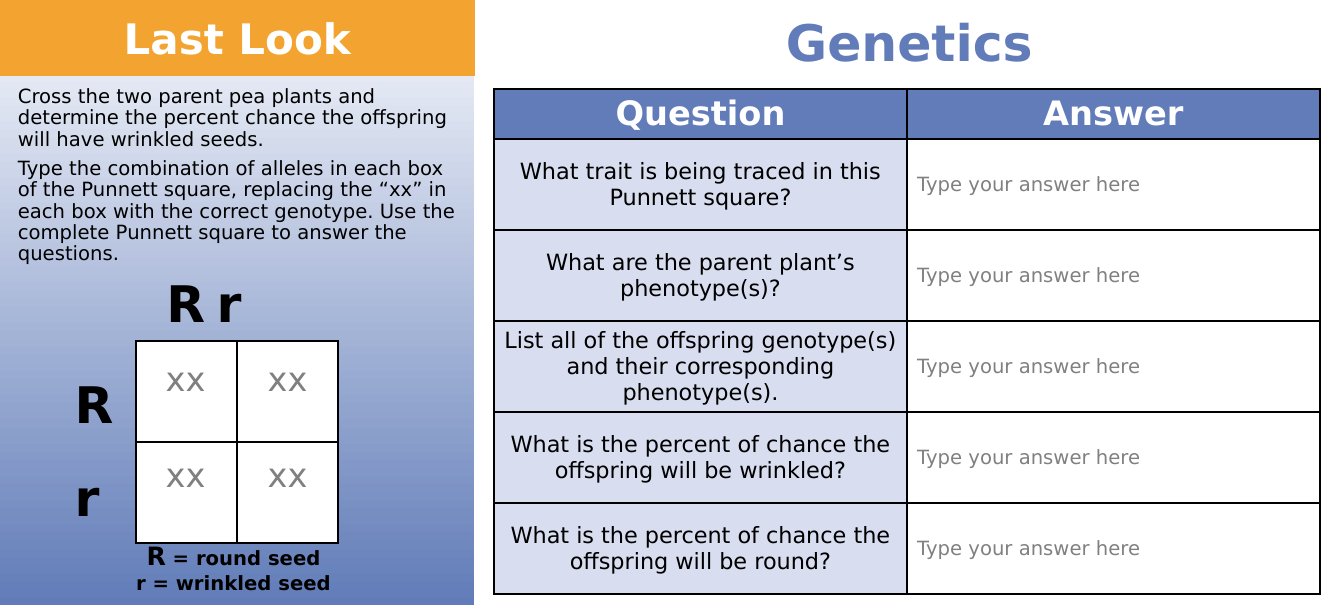
from dataclasses import dataclass
from lxml.etree import SubElement
from pptx import Presentation
from pptx.dml.color import RGBColor
from pptx.enum.shapes import MSO_SHAPE
from pptx.enum.text import MSO_ANCHOR, MSO_AUTO_SIZE, PP_ALIGN
from pptx.oxml import parse_xml
from pptx.oxml.ns import nsdecls, qn
from pptx.util import Cm, Pt


@dataclass(frozen=True)
class Theme:
    """Colours, type sizes and font of the slide."""
    face: str = "DejaVu Sans"
    blue: str = "617CB8"
    pale: str = "BFC9E5"
    mist: str = "F6F8FC"
    gold: str = "F3A32F"
    white: str = "FFFFFF"
    black: str = "000000"
    grey: str = "808080"
    title: int = 36
    banner: int = 30
    head: int = 24
    key: int = 18
    ask: int = 16
    body: int = 14


THEME = Theme()
BANNER, TITLE = "Last Look", "Genetics"
GUIDE = [
    "Cross the two parent pea plants and determine the percent chance the offspring will have wrinkled seeds.",
    "Type the combination of alleles in each box of the Punnett square, replacing the “xx” in each box "
    "with the correct genotype. Use the complete Punnett square to answer the questions.",
]
ALLELES = ["R", "r"]
KEY = [[("R", THEME.key), (" = round seed", THEME.body)], [("r = wrinkled seed", THEME.body)]]
HEADS = ["Question", "Answer"]
ASKS = [
    "What trait is being traced in this Punnett square?",
    "What are the parent plant’s phenotype(s)?",
    "List all of the offspring genotype(s) and their corresponding phenotype(s).",
    "What is the percent of chance the offspring will be wrinkled?",
    "What is the percent of chance the offspring will be round?",
]
PROMPT, GENE = "Type your answer here", "xx"
WIDE, HIGH, SIDE, BAND = 33.86, 15.24, 11.96, 1.91
GRID_X, GRID_Y, BOX = 3.43, 8.59, 2.54
QUIZ_X, QUIZ_Y, COL, TOP, ROW = 12.45, 2.24, 10.4, 1.27, 2.29


def style(font, size, color=THEME.black, bold=False):
    """Set face, size, colour and weight."""
    font.name, font.size, font.bold = THEME.face, Pt(size), bold
    font.color.rgb = RGBColor.from_string(color)


def paint(fill, color):
    """Fill with one solid colour."""
    fill.solid()
    fill.fore_color.rgb = RGBColor.from_string(color)


def write(frame, lines, size, color=THEME.black, bold=False, align=PP_ALIGN.LEFT):
    """Put one paragraph per line and format its runs."""
    frame.text = "\n".join(lines)
    for para in frame.paragraphs:
        para.alignment = align
        for run in para.runs:
            style(run.font, size, color, bold)


def panel(slide, left, width, height, color):
    """Add a flat rectangle at the top of the slide."""
    shape = slide.shapes.add_shape(MSO_SHAPE.RECTANGLE, Cm(left), 0, Cm(width), Cm(height))
    shape.shadow.inherit = False
    paint(shape.fill, color)
    paint(shape.line.fill, color)
    shape.line.width = Pt(1)
    return shape


def label(slide, left, top, width, height):
    """Add a wrapping text box."""
    box = slide.shapes.add_textbox(Cm(left), Cm(top), Cm(width), Cm(height))
    box.text_frame.word_wrap = True
    return box


def grid(slide, left, top, cols, rows):
    """Add a plain table with the given column widths and row heights."""
    table = slide.shapes.add_table(
        len(rows), len(cols), Cm(left), Cm(top), Cm(sum(cols)), Cm(sum(rows))).table
    table.first_row = table.horz_banding = False
    table._tbl.tblPr[0].text = "{2D5ABB26-0587-4C30-8999-92F81FD0307C}"
    for col, size in zip(table.columns, cols):
        col.width = Cm(size)
    for row, size in zip(table.rows, rows):
        row.height = Cm(size)
    return table


def frame_cell(cell, color):
    """Fill a cell and draw its four borders."""
    paint(cell.fill, color)
    props = cell._tc.get_or_add_tcPr()
    for spot, edge in enumerate("LRTB"):
        props.insert(spot, parse_xml(
            f'<a:ln{edge} {nsdecls("a")} w="{Pt(1.5)}"><a:solidFill>'
            f'<a:srgbClr val="{THEME.black}"/></a:solidFill></a:ln{edge}>'))


def punnett(slide):
    """Draw the Punnett square with its allele labels and key."""
    table = grid(slide, GRID_X, GRID_Y, [BOX] * 2, [BOX] * 2)
    for cell in table.iter_cells():
        frame_cell(cell, THEME.white)
    across = label(slide, 3.94, 6.73, 4.98, 1.8).text_frame
    props = across.paragraphs[0]._p.get_or_add_pPr()
    SubElement(SubElement(props, qn("a:tabLst")), qn("a:tab"), pos=str(Cm(2.75)), algn="l")
    write(across, ["\t".join(ALLELES)], THEME.title, bold=True)
    down = label(slide, 1.63, 9.27, 5.46, 4.19).text_frame
    write(down, ALLELES, THEME.title, bold=True)
    down.paragraphs[1].space_before = Pt(23)
    key = label(slide, 2.95, 13.49, 5.87, 1.63).text_frame
    for spot, parts in enumerate(KEY):
        para = key.add_paragraph() if spot else key.paragraphs[0]
        para.alignment = PP_ALIGN.CENTER
        for text, size in parts:
            run = para.add_run()
            run.text = text
            style(run.font, size, bold=True)


def genes(slide):
    """Place a genotype field in each box of the square."""
    for row in range(2):
        for col in range(2):
            box = label(slide, 3.48 + col * 2.57, 8.89 + row * 2.41, 2.39, 1.27)
            paint(box.fill, THEME.white)
            write(box.text_frame, [GENE], THEME.head, THEME.grey, align=PP_ALIGN.CENTER)


def quiz(slide):
    """Draw the question table and the answer fields over it."""
    rows = [ROW] * len(ASKS)
    table = grid(slide, QUIZ_X, QUIZ_Y, [COL] * 2, [TOP] + rows)
    for col, text in enumerate(HEADS):
        cell = table.cell(0, col)
        frame_cell(cell, THEME.blue)
        write(cell.text_frame, [text], THEME.head, THEME.white, True, PP_ALIGN.CENTER)
    reply = grid(slide, QUIZ_X + COL, QUIZ_Y + TOP, [COL], rows)
    for row, text in enumerate(ASKS):
        ask, blank, field = table.cell(row + 1, 0), table.cell(row + 1, 1), reply.cell(row, 0)
        frame_cell(ask, THEME.pale)
        tint = ask._tc.tcPr.find(f"{qn('a:solidFill')}/{qn('a:srgbClr')}")
        SubElement(tint, qn("a:alpha"), val="60000")
        frame_cell(blank, THEME.white)
        field.fill.background()
        ask.vertical_anchor = field.vertical_anchor = MSO_ANCHOR.MIDDLE
        write(ask.text_frame, [text], THEME.ask, align=PP_ALIGN.CENTER)
        write(field.text_frame, [PROMPT], THEME.body, THEME.grey)


def main():
    """Build and save the slide."""
    deck = Presentation()
    deck.slide_width, deck.slide_height = Cm(WIDE), Cm(HIGH)
    slide = deck.slides.add_slide(deck.slide_layouts[5])
    fill = slide.background.fill
    fill.gradient()
    fill.gradient_angle = 270
    for stop, color in zip(fill.gradient_stops, [THEME.mist, THEME.blue]):
        stop.color.rgb = RGBColor.from_string(color)
    panel(slide, SIDE, WIDE - SIDE, HIGH, THEME.white)
    banner = panel(slide, 0, SIDE, BAND, THEME.gold).text_frame
    banner.vertical_anchor = MSO_ANCHOR.MIDDLE
    write(banner, [BANNER], THEME.banner, THEME.white, True, PP_ALIGN.CENTER)
    title = slide.shapes.title
    slide.shapes._spTree.append(title._element)
    title.left, title.top, title.width, title.height = Cm(SIDE), 0, Cm(WIDE - SIDE), Cm(BAND)
    frame = title.text_frame
    frame.auto_size, frame.vertical_anchor = MSO_AUTO_SIZE.NONE, MSO_ANCHOR.BOTTOM
    frame.margin_left = frame.margin_right = Cm(0.2)
    frame.margin_top = frame.margin_bottom = Cm(0.1)
    write(frame, [TITLE], THEME.title, THEME.blue, True, PP_ALIGN.CENTER)
    guide = label(slide, 0.2, 2.06, 11.71, 8.38).text_frame
    write(guide, GUIDE, THEME.body)
    for para in guide.paragraphs:
        para.line_spacing = 0.9
    guide.paragraphs[1].space_before = Pt(6)
    punnett(slide)
    quiz(slide)
    genes(slide)
    deck.save("out.pptx")


if __name__ == "__main__":
    main()
